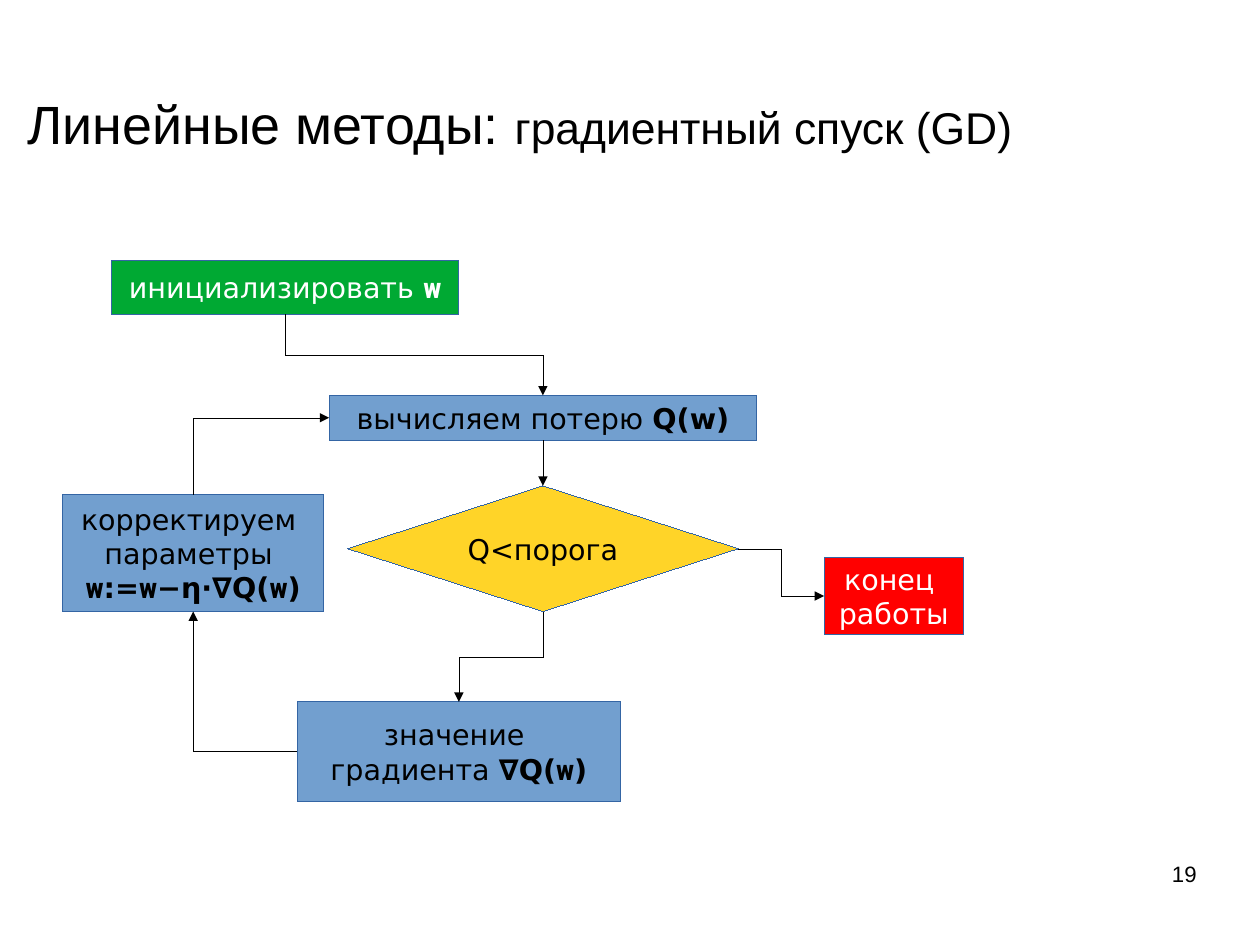
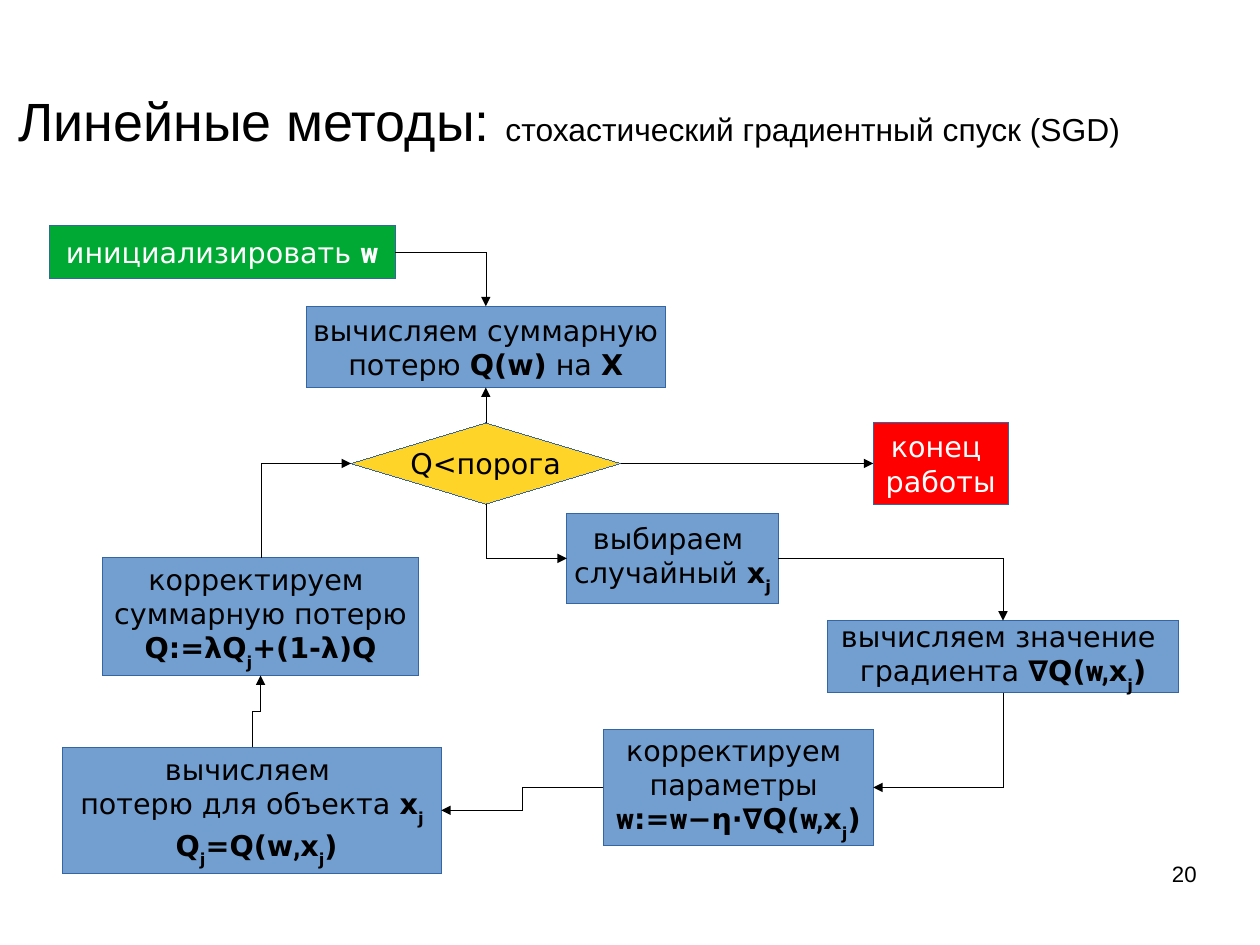
from lxml import etree
from pptx import Presentation
from pptx import util as u
from pptx.dml import color
from pptx.enum import shapes, text
from pptx.oxml import ns

INK, WHITE, EDGE = "000000", "FFFFFF", "3465A4"
# Kind of step: shape, fill, text colour
KINDS = {
    "start": (shapes.MSO_SHAPE.RECTANGLE, "00A933", WHITE),
    "step": (shapes.MSO_SHAPE.RECTANGLE, "729FCF", INK),
    "test": (shapes.MSO_SHAPE.DIAMOND, "FFD428", INK),
    "stop": (shapes.MSO_SHAPE.RECTANGLE, "FF0000", WHITE),
}
TITLE_FONT, FLOW_FONT, VECTOR_FONT = "Arial", "DejaVu Sans", "Roboto Condensed"
TOP, LEFT, BOTTOM, RIGHT = range(4)
LEAVING_ANGLE = {TOP: 270, LEFT: 180, BOTTOM: 90, RIGHT: 0}

# Spans are (text, style): "" plain, "b" bold, "v" bold vector, "s" bold subscript
W = ("w", "v")
X_J = [("x", "b"), ("j", "s")]
INIT = [[("инициализировать ", ""), W]]
TEST = [[("Q<порога", "")]]
STOP = [[("конец ", "")], [("работы", "")]]
FIX = [[("корректируем ", "")], [("параметры ", "")]]
UPDATE = [W, (":=", "b"), W, ("−η⋅∇Q(", "b")]
CLOSE = (")", "b")

# Each step: kind, (left, top, width, height) within the chart, lines
GD_STEPS = {
    "init": ("start", (0.43, 0, 3.03, 0.47), INIT),
    "loss": ("step", (2.33, 1.18, 3.74, 0.39),
             [[("вычисляем потерю ", ""), ("Q(w)", "b")]]),
    "test": ("test", (2.49, 1.97, 3.42, 1.1), TEST),
    "stop": ("stop", (6.66, 2.6, 1.22, 0.67), STOP),
    "gradient": ("step", (2.05, 3.86, 2.83, 0.87),
                 [[("значение ", "")],
                  [("градиента ", ""), ("∇Q(", "b"), W, CLOSE]]),
    "fix": ("step", (0, 2.05, 2.28, 1.02), FIX + [UPDATE + [W, CLOSE]]),
}
GD_ARROWS = [
    ("init", BOTTOM, "loss", TOP),
    ("loss", BOTTOM, "test", TOP),
    ("test", RIGHT, "stop", LEFT),
    ("test", BOTTOM, "gradient", TOP),
    ("gradient", LEFT, "fix", BOTTOM),
    ("fix", TOP, "loss", LEFT),
]
SGD_STEPS = {
    "init": ("start", (0, 0, 3.03, 0.47), INIT),
    "test": ("test", (2.64, 1.73, 2.36, 0.71), TEST),
    "stop": ("stop", (7.21, 1.73, 1.18, 0.71), STOP),
    "gradient": ("step", (6.81, 3.46, 3.07, 0.63),
                 [[("вычисляем значение ", "")],
                  [("градиента ", ""), ("∇Q(", "b"), ("w,", "v"), *X_J, CLOSE]]),
    "fix": ("step", (4.85, 4.41, 2.36, 1.02),
            FIX + [UPDATE + [("w,", "v"), *X_J, CLOSE]]),
    "loss": ("step", (2.25, 0.71, 3.14, 0.71),
             [[("вычисляем суммарную", "")],
              [("потерю ", ""), ("Q(w)", "b"), (" на ", ""), ("X", "b")]]),
    "pick": ("step", (4.53, 2.52, 1.85, 0.79),
             [[("выбираем ", "")], [("случайный ", ""), *X_J]]),
    "total": ("step", (0.47, 2.91, 2.76, 1.03),
              [[("корректируем ", "")], [("суммарную потерю", "")],
               [("Q:=λQ", "b"), ("j", "s"), ("+(1-λ)Q", "b")]]),
    "object": ("step", (0.12, 4.57, 3.31, 1.1),
               [[("вычисляем ", "")], [("потерю для объекта ", ""), *X_J],
                [(" ", ""), ("Q", "b"), ("j", "s"), ("=Q(w", "b"), (",", "v"),
                 *X_J, CLOSE]]),
}
SGD_ARROWS = [
    ("init", RIGHT, "loss", TOP),
    ("test", TOP, "loss", BOTTOM),
    ("test", RIGHT, "stop", LEFT),
    ("test", BOTTOM, "pick", LEFT),
    ("pick", RIGHT, "gradient", TOP),
    ("gradient", BOTTOM, "fix", RIGHT),
    ("fix", LEFT, "object", RIGHT),
    ("object", TOP, "total", BOTTOM),
    ("total", TOP, "test", LEFT),
]


def rgb(value):
    return color.RGBColor.from_string(value)


def style_font(font, name, size, ink):
    font.name, font.size = name, u.Pt(size)
    font.color.rgb = rgb(ink)


def draw_hairline(line, ink):
    """Colour the line and write its zero width out, against the theme's."""
    line.color.rgb = rgb(ink)
    outline = line._get_or_add_ln()
    outline.set("w", "0")
    return outline


def clear_insets(frame):
    frame.margin_left = frame.margin_right = 0
    frame.margin_top = frame.margin_bottom = 0


def add_span(para, words, style):
    span = para.add_run()
    span.text = words
    if style:
        span.font.bold = True
    if style == "v":
        span.font.name = VECTOR_FONT
    if style == "s":
        span.font._element.set("baseline", "-33000")


def add_step(page, origin, kind, place, lines):
    preset, fill, ink = KINDS[kind]
    left, top, width, height = place
    step = page.shapes.add_shape(
        preset, u.Inches(origin[0] + left), u.Inches(origin[1] + top),
        u.Inches(width), u.Inches(height))
    step.shadow.inherit = False
    step.fill.solid()
    step.fill.fore_color.rgb = rgb(fill)
    draw_hairline(step.line, EDGE)
    frame = step.text_frame
    frame.word_wrap = False
    frame.vertical_anchor = text.MSO_ANCHOR.MIDDLE
    for index, spans in enumerate(lines):
        para = frame.add_paragraph() if index else frame.paragraphs[0]
        para.alignment = text.PP_ALIGN.CENTER
        style_font(para.font, FLOW_FONT, 18, ink)
        for words, style in spans:
            add_span(para, words, style)
    return step


def bend(arrow, start_side, end_side):
    """Turn the elbow so that it leaves and enters by the given sides."""
    x1, y1, x2, y2 = arrow.begin_x, arrow.begin_y, arrow.end_x, arrow.end_y
    angle = LEAVING_ANGLE[start_side]
    upright = start_side in (TOP, BOTTOM)
    across, down = x2 - x1, y2 - y1
    drift = {0: down, 90: -across, 180: -down, 270: across}[angle]
    flip_h, flip_v = False, drift < 0
    if upright and (start_side == TOP or flip_v):
        angle, flip_h, flip_v = (angle + 180) % 360, True, not flip_v
    width, height = abs(across), abs(down)
    if upright:
        width, height = height, width
    arrow.left, arrow.top = (x1 + x2 - width) // 2, (y1 + y2 - height) // 2
    arrow.width, arrow.height = width, height
    properties = arrow.element.spPr
    frame = properties.find(ns.qn("a:xfrm"))
    frame.set("rot", str(angle * 60000))
    frame.set("flipH", str(int(flip_h)))
    frame.set("flipV", str(int(flip_v)))
    same_axis = start_side % 2 == end_side % 2
    properties.find(ns.qn("a:prstGeom")).set(
        "prst", "bentConnector3" if same_axis else "bentConnector2")


def add_arrow(page, start, start_side, end, end_side):
    arrow = page.shapes.add_connector(shapes.MSO_CONNECTOR.STRAIGHT, 0, 0, 0, 0)
    arrow.begin_connect(start, start_side)
    arrow.end_connect(end, end_side)
    # Sides that do not face each other need an elbow
    offset = min(abs(arrow.end_x - arrow.begin_x), abs(arrow.end_y - arrow.begin_y))
    if offset > u.Inches(0.02):
        bend(arrow, start_side, end_side)
    outline = draw_hairline(arrow.line, INK)
    etree.SubElement(outline, ns.qn("a:tailEnd"), type="triangle")
    etree.SubElement(arrow.element.spPr, ns.qn("a:effectLst"))


def add_title(page, place, topic, topic_size):
    title = page.shapes.title
    title.left, title.top, title.width, title.height = map(u.Inches, place)
    frame = title.text_frame
    clear_insets(frame)
    frame.word_wrap = True
    frame.auto_size = text.MSO_AUTO_SIZE.NONE
    frame.vertical_anchor = text.MSO_ANCHOR.MIDDLE
    para = frame.paragraphs[0]
    para.alignment = text.PP_ALIGN.LEFT
    style_font(para.font, TITLE_FONT, 33.9, INK)
    for words, size in (("Линейные методы: ", 33.9), (topic, topic_size)):
        span = para.add_run()
        span.text = words
        span.font.size = u.Pt(size)


def add_page_number(page, number):
    box = page.shapes.add_textbox(*map(u.Inches, (7.9, 7.53, 2.57, 0.57)))
    frame = box.text_frame
    clear_insets(frame)
    frame.word_wrap = True
    para = frame.paragraphs[0]
    para.text = str(number)
    para.alignment = text.PP_ALIGN.RIGHT
    style_font(para.font, TITLE_FONT, 14, INK)


def add_flow_slide(deck, number, title, origin, steps, arrows):
    page = deck.slides.add_slide(deck.slide_layouts[5])
    add_title(page, *title)
    placed = {name: add_step(page, origin, *step) for name, step in steps.items()}
    for start, start_side, end, end_side in arrows:
        add_arrow(page, placed[start], start_side, placed[end], end_side)
    add_page_number(page, number)


def main():
    deck = Presentation()
    # The page is metric: 11.02 by 8.27 inches
    deck.slide_width, deck.slide_height = u.Mm(280), u.Mm(210)
    # Gradient descent
    add_flow_slide(
        deck, 19, ((0.24, 0.81, 9.69, 0.53), "градиентный спуск (GD)", 28),
        (0.55, 2.28), GD_STEPS, GD_ARROWS)
    # Stochastic gradient descent
    add_flow_slide(
        deck, 20,
        ((0.16, 0.66, 9.84, 0.78), "стохастический градиентный спуск (SGD)", 20),
        (0.43, 1.97), SGD_STEPS, SGD_ARROWS)
    deck.save("out.pptx")


if __name__ == "__main__":
    main()
